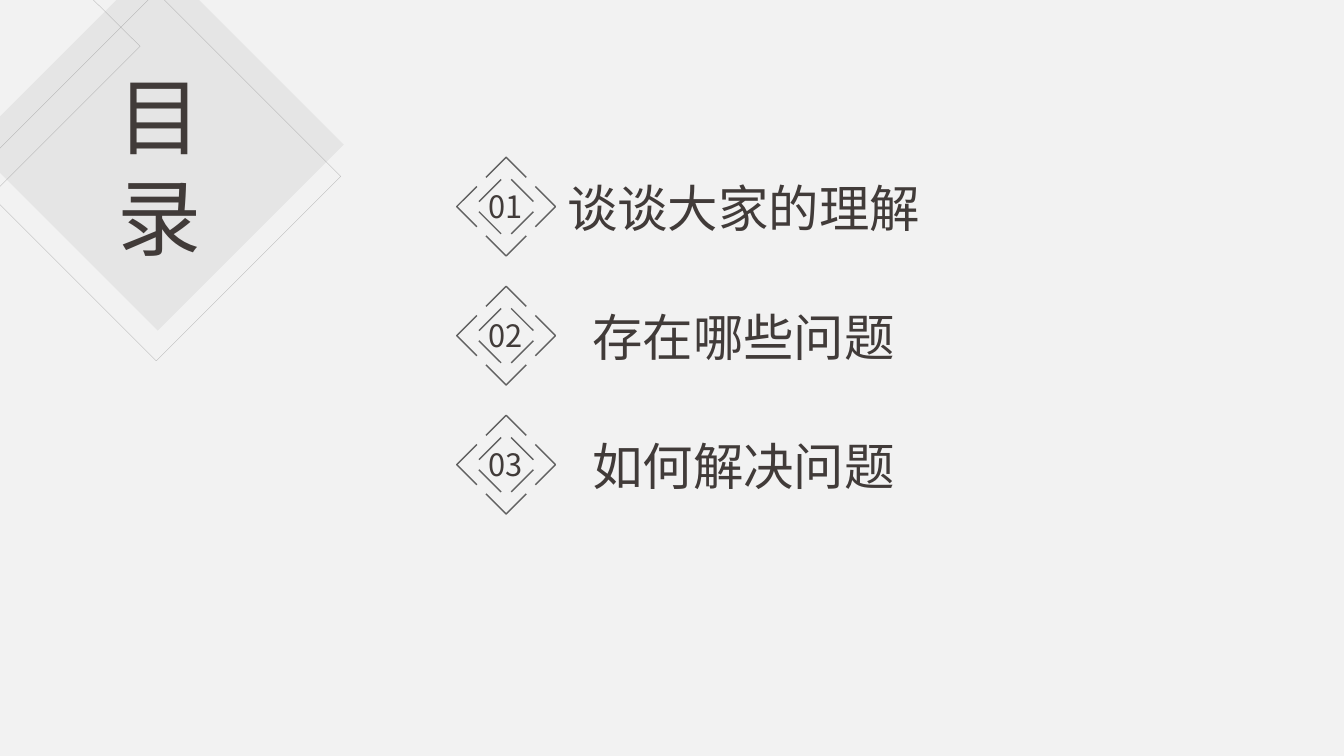
from lxml import etree
from pptx import Presentation
from pptx import util as u
from pptx.dml.color import RGBColor
from pptx.enum import shapes, text
from pptx.oxml.ns import qn

HUES = {"back": "F2F2F2", "gem": "A6A6A6", "edge": "808080",
        "mark": "616161", "ink": "413B39"}
FONT = "Noto Sans CJK SC"

deck = Presentation()
deck.slide_width, deck.slide_height = u.Inches(13.33), u.Inches(7.5)
slide = deck.slides.add_slide(deck.slide_layouts[6])
slide.background.fill.solid()
slide.background.fill.fore_color.rgb = RGBColor.from_string(HUES["back"])


def paint(shape, fill=None, line=None, width=1, alpha=100):
    """Set the fill or the line of a shape, with its opacity in percent."""
    shape.shadow.inherit = False
    shape.fill.background()
    shape.line.fill.background()
    part = shape.fill if fill else shape.line.fill
    part.solid()
    part.fore_color.rgb = RGBColor.from_string(HUES[fill or line])
    if line:
        shape.line.width = u.Pt(width)
    if alpha < 100:
        for tint in shape._element.spPr.iter(qn("a:srgbClr")):
            etree.SubElement(tint, qn("a:alpha"), val=str(alpha * 1000))


def write(words, left, top, width, height, size):
    box = slide.shapes.add_textbox(*map(u.Inches, (left, top, width, height)))
    frame = box.text_frame
    frame.word_wrap = True
    frame.auto_size = text.MSO_AUTO_SIZE.SHAPE_TO_FIT_TEXT
    para = frame.paragraphs[0]
    para.text = words
    para.alignment = text.PP_ALIGN.CENTER
    para.font.size = u.Pt(size)
    para.font.name = FONT
    para.font.color.rgb = RGBColor.from_string(HUES["ink"])
    # East Asian glyphs take their own font setting
    for props in para._p.iter(qn("a:defRPr")):
        etree.SubElement(props, qn("a:ea"), typeface=FONT)
    for run in para.runs:
        etree.SubElement(run._r.get_or_add_rPr(), qn("a:ea"), typeface=FONT)


# Corner diamonds
gem = slide.shapes.add_shape(shapes.MSO_SHAPE.DIAMOND, u.Inches(-0.28),
                             u.Inches(-0.41), u.Inches(3.69), u.Inches(3.69))
paint(gem, fill="gem", alpha=16)

pen = slide.shapes.build_freeform(u.Inches(-0.02), u.Inches(-0.94))
pen.add_line_segments([(u.Inches(1.39), u.Inches(0.46)),
                       (u.Inches(-0.02), u.Inches(1.87))], close=True)
paint(pen.convert_to_shape(), line="edge", width=0.25, alpha=48)

frame = slide.shapes.add_shape(shapes.MSO_SHAPE.DIAMOND, u.Inches(-0.28),
                               u.Inches(-0.08), u.Inches(3.66), u.Inches(3.66))
paint(frame, line="edge", width=0.25, alpha=48)

# Title
write("目录", 0.98, 0.59, 1.21, 2.12, 60)

# Agenda rows: a badge of four chevrons and four dashes, then the topic
topics = ["谈谈大家的理解", "存在哪些问题", "如何解决问题"]
chevron = [(-0.2, -0.29), (0, -0.49), (0.2, -0.29)]
dash = [(-0.27, -0.05), (-0.05, -0.27)]
mid_x = 5.02
for row, topic in enumerate(topics):
    mid_y = 2.05 + 1.28 * row
    for stroke in (chevron, dash):
        for turn in range(4):
            spots = [(u.Inches(mid_x + x), u.Inches(mid_y + y))
                     for x, y in stroke]
            pen = slide.shapes.build_freeform(*spots[0])
            pen.add_line_segments(spots[1:], close=False)
            paint(pen.convert_to_shape(), line="mark")
            stroke = [(-y, x) for x, y in stroke]
    write(f"{row + 1:02}", mid_x - 0.38, mid_y - 0.24, 0.75, 0.47, 22)
    write(topic, 5.49, mid_y - 0.34, 3.77, 0.71, 36)

deck.save("out.pptx")
